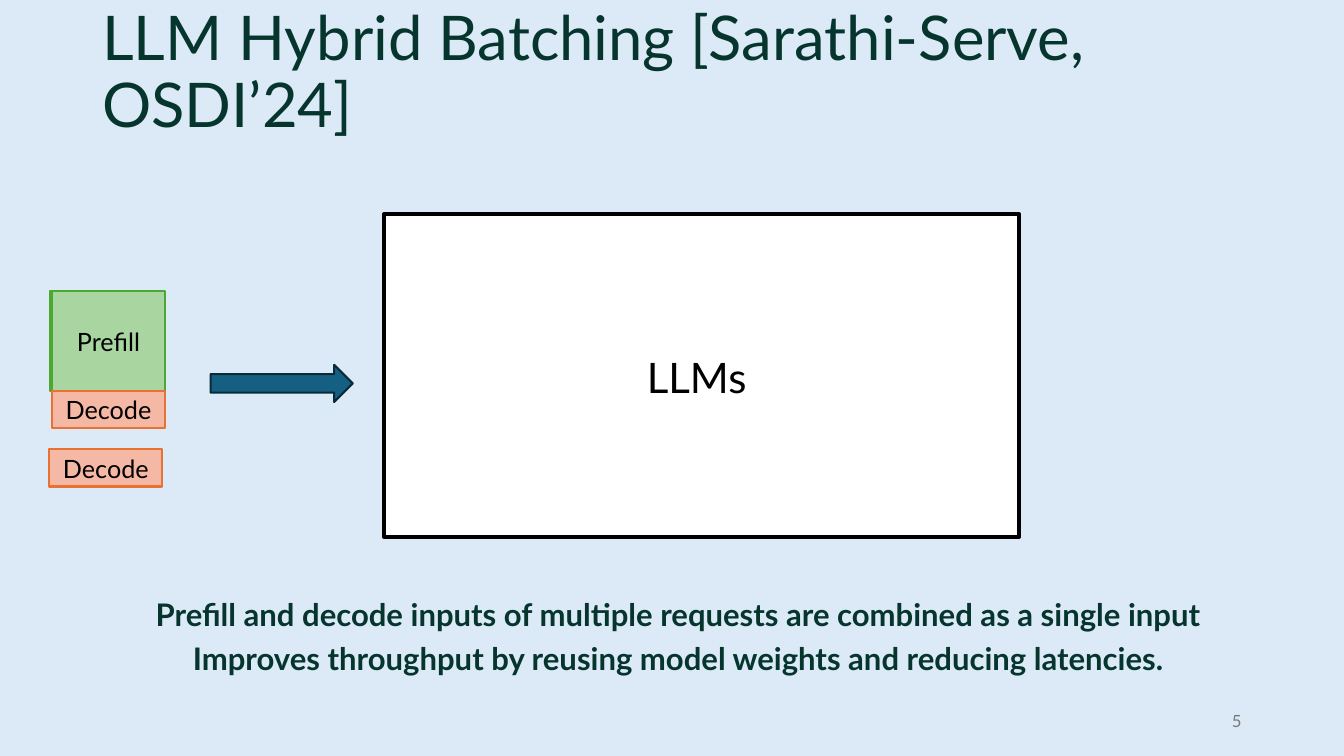
import pptx
import pptx.util
import pptx.dml.color
import pptx.enum.shapes
import pptx.enum.text

Pt = pptx.util.Pt
RGB = pptx.dml.color.RGBColor
SHAPE = pptx.enum.shapes.MSO_SHAPE
ALIGN = pptx.enum.text.PP_ALIGN
ANCHOR = pptx.enum.text.MSO_ANCHOR

SKY = RGB(0xDC, 0xEA, 0xF7)
PINE = RGB(0x06, 0x35, 0x2E)
GRAY = RGB(0x79, 0x79, 0x79)
BLACK = RGB(0, 0, 0)
WHITE = RGB(0xFF, 0xFF, 0xFF)
MINT = RGB(0xA8, 0xD5, 0xA0)
GREEN = RGB(0x4E, 0xA7, 0x2E)
PEACH = RGB(0xF5, 0xB8, 0xA5)
ORANGE = RGB(0xE9, 0x71, 0x32)
TEAL = RGB(0x15, 0x60, 0x82)
NAVY = RGB(0x09, 0x2A, 0x39)


class Deck:
    font = "Lato"

    def __init__(self, wide, high):
        self.show = pptx.Presentation()
        self.show.slide_width = Pt(wide)
        self.show.slide_height = Pt(high)
        self.slide = self.show.slides.add_slide(self.show.slide_layouts[6])
        fill = self.slide.background.fill
        fill.solid()
        fill.fore_color.rgb = SKY

    def set_text(self, frame, text, size, color, align, bold=False, lead=1, gap=0):
        frame.word_wrap = True
        frame.vertical_anchor = ANCHOR.MIDDLE
        frame.text = text
        for i, para in enumerate(frame.paragraphs):
            para.alignment = align
            para.line_spacing = lead
            para.space_before = Pt(gap if i else 0)
            for run in para.runs:
                run.font.name = self.font
                run.font.size = Pt(size)
                run.font.bold = bold
                run.font.color.rgb = color

    def label(self, area, text, size, color, align=ALIGN.LEFT, **style):
        box = self.slide.shapes.add_textbox(*map(Pt, area))
        self.set_text(box.text_frame, text, size, color, align, **style)

    def block(self, area, fill, line, width=1.5, text="", kind=SHAPE.RECTANGLE):
        shape = self.slide.shapes.add_shape(kind, *map(Pt, area))
        shape.shadow.inherit = False
        shape.fill.solid()
        shape.fill.fore_color.rgb = fill
        shape.line.color.rgb = line
        shape.line.width = Pt(width)
        if text:
            frame = shape.text_frame
            frame.margin_left = frame.margin_right = 0
            self.set_text(frame, text, 18, BLACK, ALIGN.CENTER)

    def prefill(self, left, top):
        self.block((left, top, 80.6, 71.3), MINT, GREEN, text="Prefill")

    def decode(self, left, top):
        self.block((left, top, 80.6, 26.6), PEACH, ORANGE, text="Decode")


def main():
    deck = Deck(960, 540)
    deck.label((66, 0.7, 828, 104.4),
               "LLM Hybrid Batching [Sarathi-Serve, OSDI’24]",
               44, PINE, lead=0.9)
    deck.label((678, 500.5, 216, 28.8), "5", 12, GRAY, ALIGN.RIGHT)
    deck.label((55.4, 425.5, 858.2, 62.6),
               "Prefill and decode inputs of multiple requests are combined as a single input\n"
               "Improves throughput by reusing model weights and reducing latencies.",
               22.2, PINE, ALIGN.CENTER, bold=True, lead=0.8, gap=10)

    deck.prefill(36, 208)
    deck.decode(35.3, 321)
    deck.prefill(37.2, 208)
    deck.decode(37.2, 279.3)

    deck.block((274.3, 153, 453.6, 230.4), WHITE, BLACK, 3)
    deck.label((455, 247, 92.9, 43.9), "LLMs", 30, BLACK)
    deck.block((150.5, 260.6, 101.5, 26.6), TEAL, NAVY, kind=SHAPE.RIGHT_ARROW)
    deck.show.save("out.pptx")


if __name__ == "__main__":
    main()
